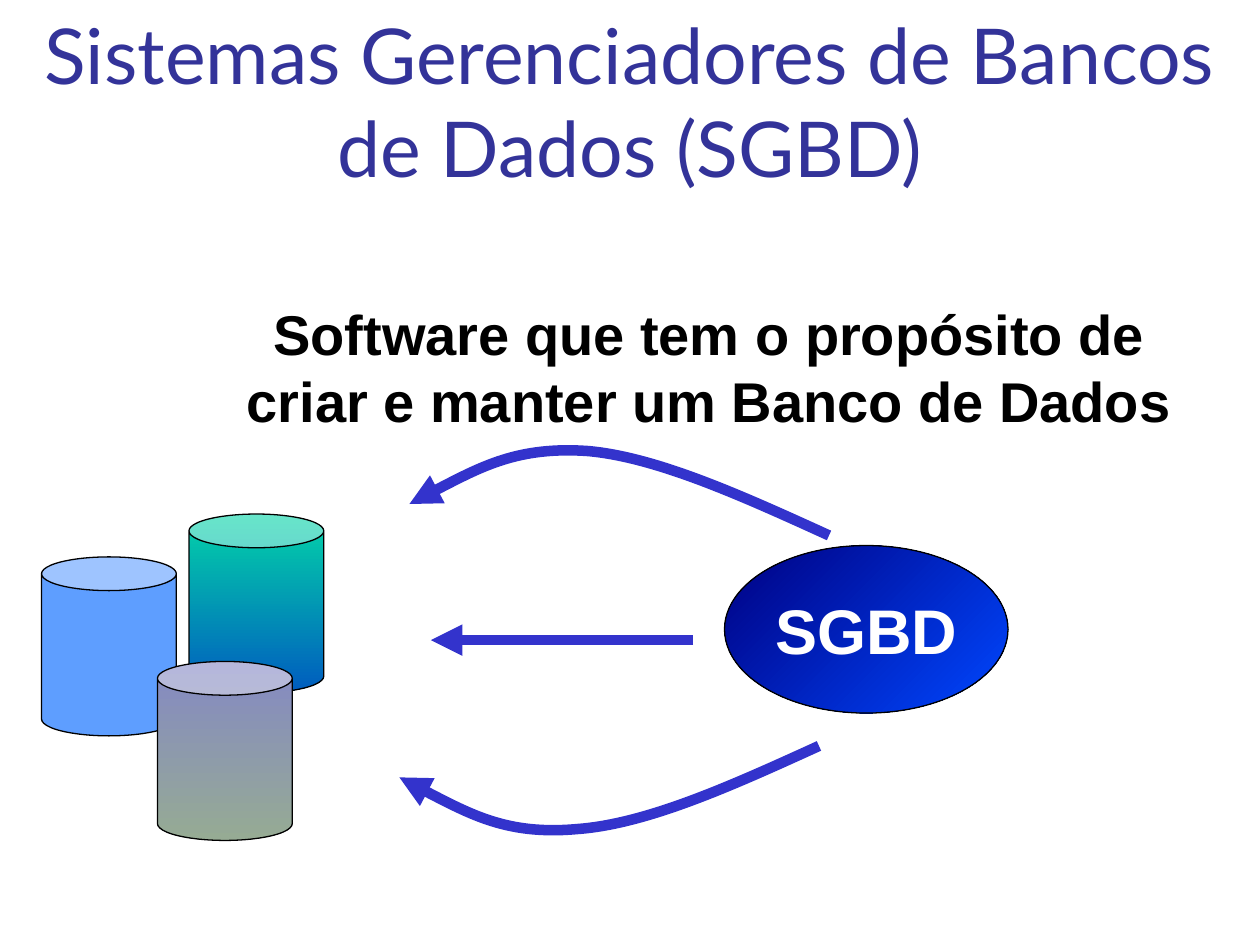
from dataclasses import dataclass

from pptx import Presentation
from pptx.dml.color import RGBColor
from pptx.enum.shapes import MSO_CONNECTOR, MSO_SHAPE
from pptx.enum.text import MSO_ANCHOR, MSO_AUTO_SIZE, PP_ALIGN
from pptx.oxml.ns import qn
from pptx.oxml.xmlchemy import OxmlElement
from pptx.util import Inches, Pt

TITLE_BLUE = RGBColor(0x33, 0x33, 0x99)
ARROW_BLUE = RGBColor(0x33, 0x33, 0xCC)
BLACK = RGBColor(0x00, 0x00, 0x00)
WHITE = RGBColor(0xFF, 0xFF, 0xFF)
NAVY = RGBColor(0x00, 0x00, 0x82)
ROYAL_BLUE = RGBColor(0x00, 0x47, 0xFF)
TEAL = RGBColor(0x03, 0xD4, 0xA8)
DEEP_BLUE = RGBColor(0x00, 0x5C, 0xBF)
SKY_BLUE = RGBColor(0x5E, 0x9E, 0xFF)
LILAC = RGBColor(0x84, 0x88, 0xC4)
SAGE = RGBColor(0x96, 0xAB, 0x94)

Point = tuple[float, float]


@dataclass(frozen=True)
class Database:
    left: float
    top: float
    colors: tuple[RGBColor, ...]


@dataclass(frozen=True)
class CurvedArrow:
    """A start point followed by three Bézier points per segment."""
    points: tuple[Point, ...]


DATABASES = (
    Database(1.5, 4.08, (TEAL, DEEP_BLUE)),
    Database(0.33, 4.42, (SKY_BLUE,)),
    Database(1.25, 5.25, (LILAC, SAGE)),
)
CURVED_ARROWS = (
    CurvedArrow(((6.58, 4.25), (5.9, 3.94), (5.22, 3.63), (4.67, 3.58),
                 (4.11, 3.54), (3.68, 3.77), (3.25, 4))),
    CurvedArrow(((6.5, 5.92), (5.82, 6.23), (5.14, 6.54), (4.58, 6.58),
                 (4.03, 6.63), (3.6, 6.4), (3.17, 6.17))),
)


def write_text(box, *lines: str, size: int, color: RGBColor, font: str = "Arial",
               bold: bool = False, anchor=MSO_ANCHOR.TOP, wrap: bool = False) -> None:
    frame = box.text_frame
    frame.auto_size = MSO_AUTO_SIZE.NONE
    frame.word_wrap = wrap
    frame.vertical_anchor = anchor
    for index, line in enumerate(lines):
        para = frame.add_paragraph() if index else frame.paragraphs[0]
        para.alignment = PP_ALIGN.CENTER
        span = para.add_run()
        span.text = line
        span.font.name = font
        span.font.size = Pt(size)
        span.font.bold = bold
        span.font.color.rgb = color


def paint(shape, colors: tuple[RGBColor, ...], angle: int = 90) -> None:
    """Fill with one colour or a clockwise-angled gradient, outlined in black."""
    shape.shadow.inherit = False
    if len(colors) == 1:
        shape.fill.solid()
        shape.fill.fore_color.rgb = colors[0]
    else:
        shape.fill.gradient()
        shape.fill.gradient_angle = 360 - angle
        for stop, color in zip(shape.fill.gradient_stops, colors):
            stop.color.rgb = color
    shape.line.color.rgb = BLACK
    shape.line.width = Pt(0.75)


def style_arrow(arrow) -> None:
    arrow.line.color.rgb = ARROW_BLUE
    arrow.line.width = Pt(6)
    head = OxmlElement("a:tailEnd")
    head.set("type", "triangle")
    arrow.line._get_or_add_ln().append(head)


def draw_curved_arrow(page, arrow: CurvedArrow) -> None:
    start, *controls = [(Inches(x), Inches(y)) for x, y in arrow.points]
    builder = page.shapes.build_freeform(*start)
    builder.add_line_segments(controls, close=False)
    shape = builder.convert_to_shape()
    shape.shadow.inherit = False
    shape.fill.background()
    style_arrow(shape)

    # The builder only makes straight segments: join each three into a curve.
    outline = shape._element.find(".//" + qn("a:path"))
    segments = outline.findall(qn("a:lnTo"))
    for first in range(0, len(segments), 3):
        curve = OxmlElement("a:cubicBezTo")
        for segment in segments[first:first + 3]:
            curve.append(segment[0])
            outline.remove(segment)
        outline.append(curve)


def draw_straight_arrow(page, start: Point, end: Point) -> None:
    arrow = page.shapes.add_connector(
        MSO_CONNECTOR.STRAIGHT, *(Inches(value) for value in start + end))
    style_arrow(arrow)
    arrow._element.spPr.append(OxmlElement("a:effectLst"))


def draw_database(page, database: Database) -> None:
    can = page.shapes.add_shape(MSO_SHAPE.CAN, Inches(database.left), Inches(database.top),
                                Inches(1.07), Inches(1.42))
    can.adjustments[0] = 0.25
    paint(can, database.colors)


def main() -> None:
    deck = Presentation()
    deck.slide_width, deck.slide_height = Inches(10), Inches(7.5)
    page = deck.slides.add_slide(deck.slide_layouts[5])

    title = page.shapes.title
    title.left, title.top = Inches(0), Inches(0.33)
    title.width, title.height = Inches(10), Inches(1.25)
    write_text(title, "Sistemas Gerenciadores de Bancos de Dados (SGBD)", size=44,
               color=TITLE_BLUE, font="Lato", anchor=MSO_ANCHOR.BOTTOM, wrap=True)

    purpose = page.shapes.add_textbox(Inches(1.86), Inches(2.33), Inches(7.54), Inches(1.17))
    write_text(purpose, "Software que tem o propósito de", "criar e manter um Banco de Dados",
               size=32, color=BLACK, bold=True)

    manager = page.shapes.add_shape(MSO_SHAPE.OVAL, Inches(5.75), Inches(4.33),
                                    Inches(2.25), Inches(1.33))
    paint(manager, (NAVY, ROYAL_BLUE), angle=45)
    write_text(manager, "SGBD", size=36, color=WHITE, bold=True, anchor=MSO_ANCHOR.MIDDLE)

    for arrow in CURVED_ARROWS:
        draw_curved_arrow(page, arrow)
    draw_straight_arrow(page, (5.5, 5.08), (3.42, 5.08))

    for database in DATABASES:
        draw_database(page, database)

    deck.save("out.pptx")


if __name__ == "__main__":
    main()
